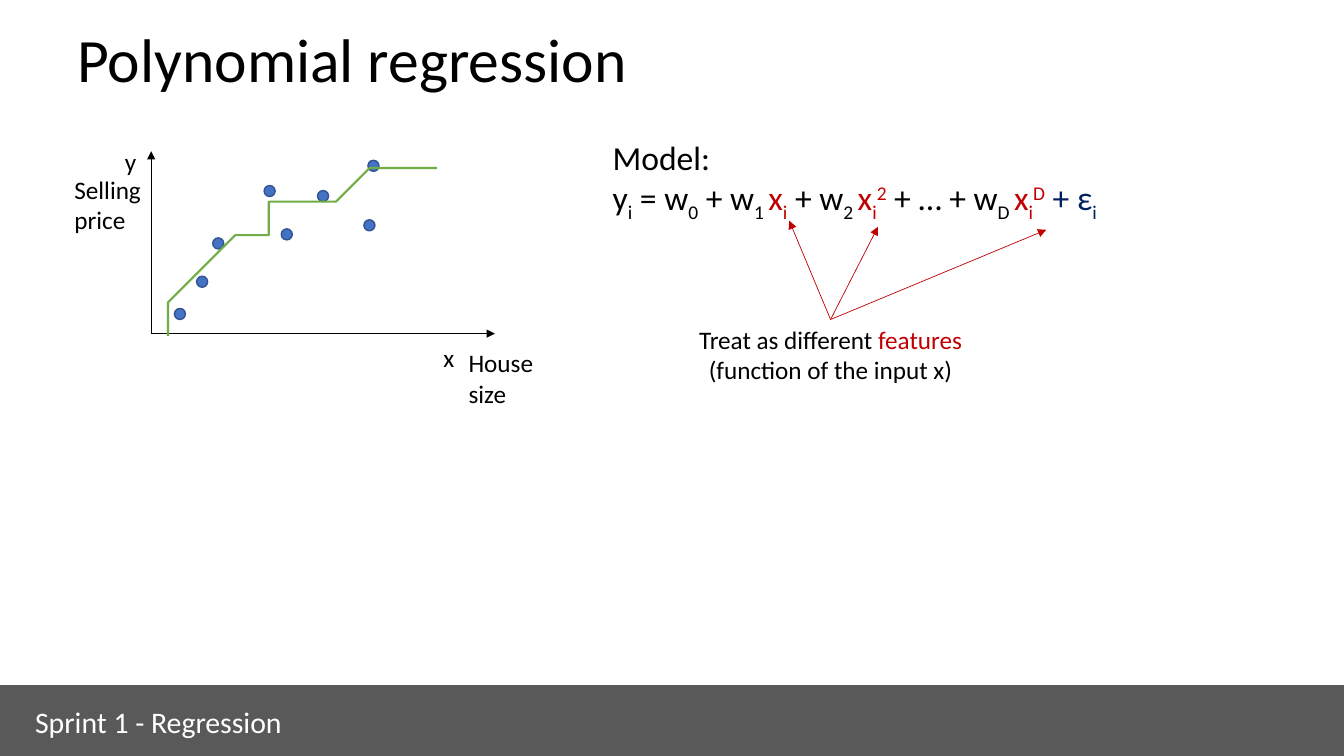
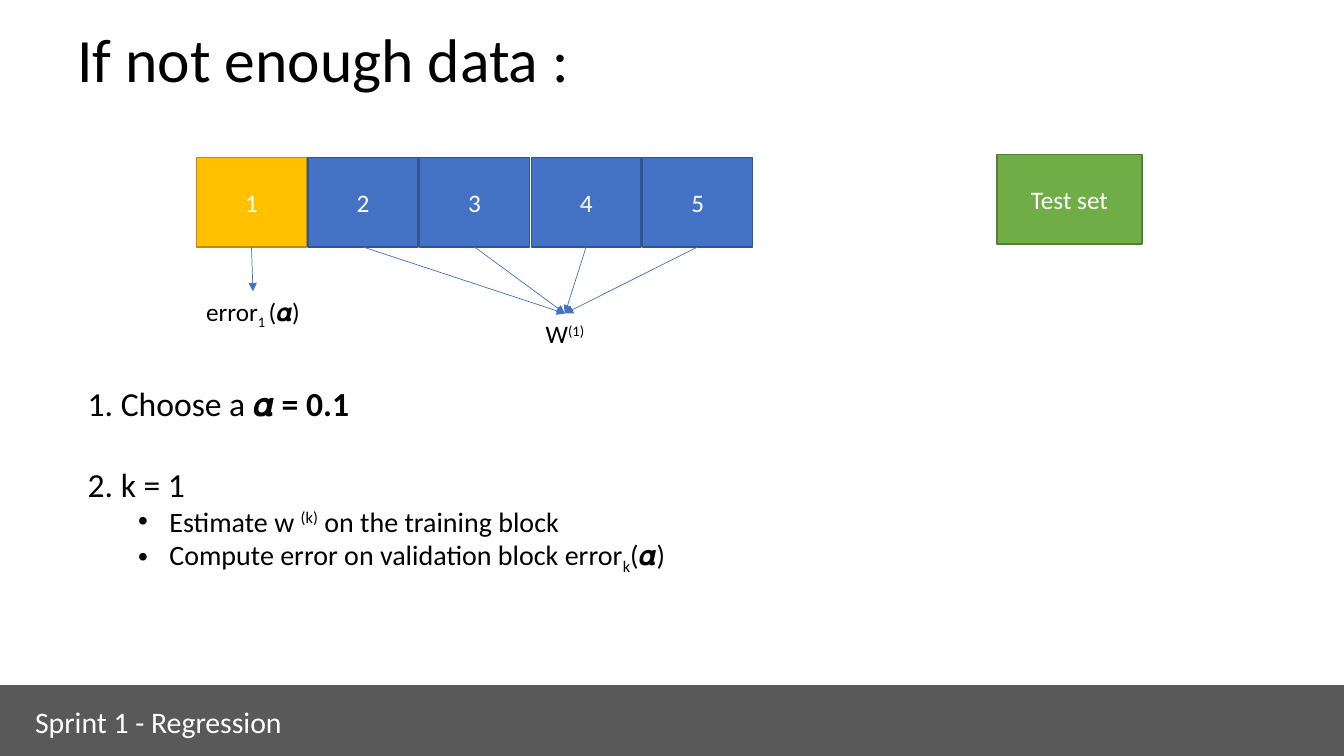
"""Build two regression slides: polynomial features and cross-validation."""
from lxml import etree
from pptx import Presentation, util as u
from pptx.dml.color import RGBColor
from pptx.enum import shapes, text
from pptx.oxml.ns import qn

COLOURS = {
    "black": "000000", "white": "FFFFFF", "grey": "595959",
    "red": "C00000", "navy": "002060",
    "blue": "4472C4", "dark blue": "325491",
    "green": "70AD47", "dark green": "538035",
    "gold": "FFC000", "dark gold": "BD8E00",
}
COLUMNS, ROWS = 40, 22.5
CELL = u.Inches(1 / 3)
FONT = "Calibri"
BASELINES = {"sub": "-25000", "sup": "30000"}
LEFT, CENTER = text.PP_ALIGN.LEFT, text.PP_ALIGN.CENTER
RECTANGLE, OVAL = shapes.MSO_SHAPE.RECTANGLE, shapes.MSO_SHAPE.OVAL
TOP, BOTTOM = 0, 2


def cells(*values):
    """Turn grid units into slide lengths."""
    return [round(value * CELL) for value in values]


def rgb(name):
    """Look up a colour by its name."""
    return RGBColor.from_string(COLOURS[name])


def style_run(span, size, colour, marks=()):
    """Format one run; marks are bold, sub, sup or a colour name."""
    span.font.name = FONT
    span.font.size = u.Pt(size)
    span.font.bold = "bold" in marks
    span.font.color.rgb = rgb(colour)
    for mark in marks:
        if mark in BASELINES:
            span.font._element.set("baseline", BASELINES[mark])
        elif mark in COLOURS:
            span.font.color.rgb = rgb(mark)


def write(para, spans, size, colour="black", align=LEFT):
    """Fill a paragraph with plain strings and (string, marks) pairs."""
    para.alignment = align
    for item in spans:
        wording, marks = (item, "") if isinstance(item, str) else item
        span = para.add_run()
        span.text = wording
        style_run(span, size, colour, marks.split())


def add_text(page, place, lines, size=18, colour="black", align=LEFT):
    """Add a wrapping text box with one paragraph per line."""
    box = page.shapes.add_textbox(*cells(*place))
    frame = box.text_frame
    frame.word_wrap = True
    for index, spans in enumerate(lines):
        para = frame.add_paragraph() if index else frame.paragraphs[0]
        write(para, spans, size, colour, align)
    return box


def add_shape(page, kind, place, fill, edge, label=""):
    """Add a filled and outlined shape with an optional centred label."""
    shape = page.shapes.add_shape(kind, *cells(*place))
    shape.shadow.inherit = False
    shape.fill.solid()
    shape.fill.fore_color.rgb = rgb(fill)
    shape.line.color.rgb = rgb(edge)
    shape.line.width = u.Pt(1)
    if label:
        shape.text_frame.vertical_anchor = text.MSO_ANCHOR.MIDDLE
        write(shape.text_frame.paragraphs[0], [label], 18, "white", CENTER)
    return shape


def add_arrow(page, colour, start=(0, 0), end=(0, 0), source=None, target=None):
    """Draw a thin arrow between points or (shape, side) joints."""
    arrow = page.shapes.add_connector(
        shapes.MSO_CONNECTOR.STRAIGHT, *cells(*start, *end))
    if source:
        arrow.begin_connect(*source)
    if target:
        arrow.end_connect(*target)
    arrow.line.color.rgb = rgb(colour)
    arrow.line.width = u.Pt(0.5)
    etree.SubElement(arrow.line._get_or_add_ln(), qn("a:tailEnd"), type="triangle")
    etree.SubElement(arrow._element.spPr, qn("a:effectLst"))


def bezier(points, steps=16):
    """Sample a cubic Bezier curve, leaving out its first point."""
    a, b, c, d = points
    for step in range(1, steps + 1):
        t = step / steps
        s = 1 - t
        yield tuple(s**3 * a[i] + 3 * s * s * t * b[i] + 3 * s * t * t * c[i]
                    + t**3 * d[i] for i in (0, 1))


def add_curve(page, pieces, end, colour):
    """Draw joined Bezier pieces followed by a straight end."""
    points = [point for piece in pieces for point in bezier(piece)] + [end]
    builder = page.shapes.build_freeform(*pieces[0][0], scale=float(CELL))
    builder.add_line_segments(points, close=False)
    curve = builder.convert_to_shape()
    curve.shadow.inherit = False
    curve.fill.background()
    curve.line.color.rgb = rgb(colour)
    curve.line.width = u.Pt(1.5)


def place_holder(holder, place):
    """Move a placeholder to a place on the grid."""
    holder.left, holder.top, holder.width, holder.height = cells(*place)
    holder.text_frame.auto_size = text.MSO_AUTO_SIZE.NONE


def add_page(deck, layout, title):
    """Add a slide with the shared title and footer band."""
    page = deck.slides.add_slide(deck.slide_layouts[layout])
    holder = page.shapes.title
    place_holder(holder, (2, 0, 36, 3.75))
    holder.text_frame.vertical_anchor = text.MSO_ANCHOR.MIDDLE
    para = holder.text_frame.paragraphs[0]
    para.line_spacing = 0.9
    write(para, [title], 44)
    add_shape(page, RECTANGLE, (0, 20.4, COLUMNS, ROWS - 20.4), "grey", "grey")
    add_text(page, (0.75, 20.79, 10.08, 1.38), [["Sprint 1 - Regression"]],
             21.3, "white")
    return page


def add_steps(page, place, steps):
    """Fill the body placeholder with (level, space before, spans) steps."""
    body = page.placeholders[1]
    place_holder(body, place)
    frame = body.text_frame
    for index, (level, gap, spans) in enumerate(steps):
        para = frame.add_paragraph() if index else frame.paragraphs[0]
        para.level = level
        para.space_before = u.Pt(gap)
        props = para._p.get_or_add_pPr()
        props.set("marL", str(u.Inches(0.81 * level)))
        props.set("indent", str(u.Inches(-0.31 * level)))
        if level:
            etree.SubElement(props, qn("a:buChar"), char="•")
        else:
            etree.SubElement(props, qn("a:buNone"))
        write(para, spans, 20 if level else 24)


def add_price_plot(page):
    """Draw the axes, observations and fitted curve of the house prices."""
    origin = (4.5, 9.93)
    for tip in ((4.5, 4.5), (14.73, 9.93)):
        add_arrow(page, "black", origin, tip)
    labels = {
        "x": (12.9, 10.05, 0.96, 1.2), "y": (3.42, 4.2, 0.96, 1.2),
        "Selling price": (1.92, 5.04, 2.91, 2.13),
        "House size": (13.65, 10.2, 2.91, 2.13),
    }
    for label, place in labels.items():
        add_text(page, place, [[label]])
    dot = 0.33
    for left, top in ((10.95, 4.77), (6.33, 7.08), (7.86, 5.52), (9.45, 5.67),
                      (10.83, 6.54), (5.19, 9.18), (5.85, 8.22), (8.37, 6.81)):
        add_shape(page, OVAL, (left, top, dot, dot), "blue", "dark blue")
    bend, shoulder = (7.68, 6.51), (12.45, 4.92)
    add_curve(page, [((4.56, 9.84), (5.46, 8.58), (6.36, 7.32), bend),
                     (bend, (9, 5.7), shoulder, shoulder)], (12.72, 4.83), "green")


def add_model(page):
    """Write the polynomial model and point out its features."""
    feature = [("x", "red"), ("i", "sub red")]
    equation = ["y", ("i", "sub"), " = w", ("0", "sub"), " + w", ("1 ", "sub"),
                *feature, " + w", ("2 ", "sub"), *feature, ("2", "sup red"),
                " + … + w", ("D ", "sub"), *feature, ("D", "sup red"),
                (" + ε", "navy"), ("i", "sub navy")]
    add_text(page, (17.94, 3.93, 21, 2.73), [["Model:"], equation], 24)
    caption = add_text(
        page, (20.01, 9.51, 9.42, 2.13),
        [["Treat as different ", ("features", "red")],
         ["(function of the input x)"]], align=CENTER)
    for tip in ((23.49, 6.57), (26.13, 6.75), (31.14, 6.84)):
        add_arrow(page, "red", end=tip, source=(caption, TOP))


def add_folds(page):
    """Draw five data blocks, the first one held out for validation."""
    add_shape(page, RECTANGLE, (29.67, 4.59, 4.32, 2.67),
              "green", "dark green", "Test set")
    alpha = ("𝜶", "bold")
    error = add_text(page, (5.31, 8.67, 4.44, 1.2),
                     [["error", ("1 ", "sub"), "(", alpha, ")"]], align=CENTER)
    weights = add_text(page, (15.15, 9.33, 3.33, 1.2),
                       [["W", ("(1)", "sup")]], align=CENTER)
    left, pitch = 5.85, 3.32
    for index in range(5):
        fill, result = ("blue", weights) if index else ("gold", error)
        block = add_shape(page, RECTANGLE, (left + index * pitch, 4.68, 3.27, 2.67),
                          fill, "dark " + fill, str(index + 1))
        add_arrow(page, "blue", source=(block, BOTTOM), target=(result, TOP))


def main():
    """Build and save the deck."""
    deck = Presentation()
    deck.slide_width, deck.slide_height = cells(COLUMNS, ROWS)

    page = add_page(deck, 5, "Polynomial regression")
    add_price_plot(page)
    add_model(page)

    page = add_page(deck, 1, "If not enough data :")
    add_folds(page)
    add_steps(page, (2.31, 11.25, 22.5, 5.97), [
        (0, 0, ["1. Choose a ", ("𝜶 = 0.1", "bold")]),
        (0, 29, ["2. k = 1"]),
        (1, 0, ["Estimate w ", ("(k)", "sup"), " on the training block"]),
        (1, 0, ["Compute error on validation block error", ("k", "sub"), "(",
                ("𝜶", "bold"), ")"]),
    ])
    deck.save("out.pptx")


if __name__ == "__main__":
    main()
